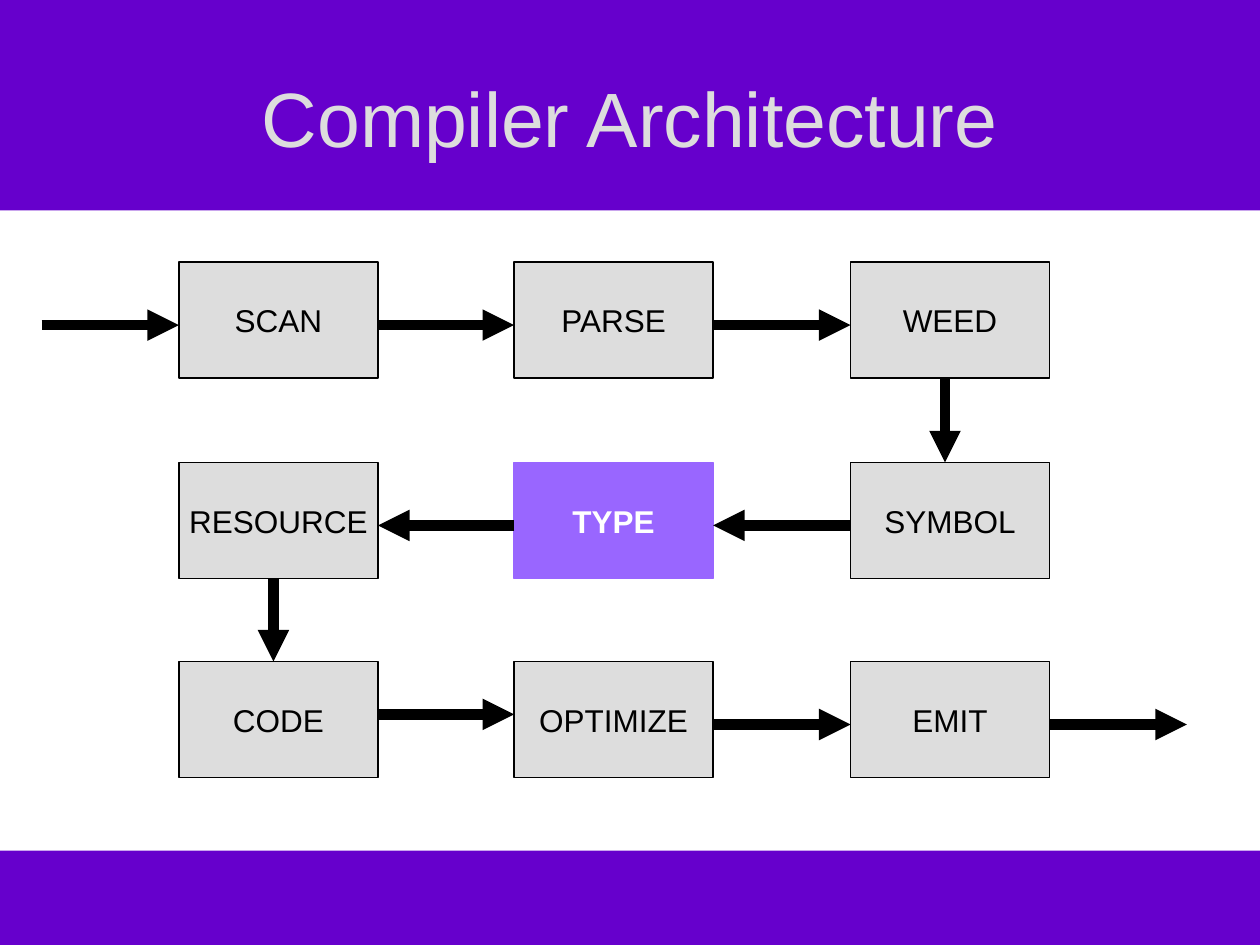
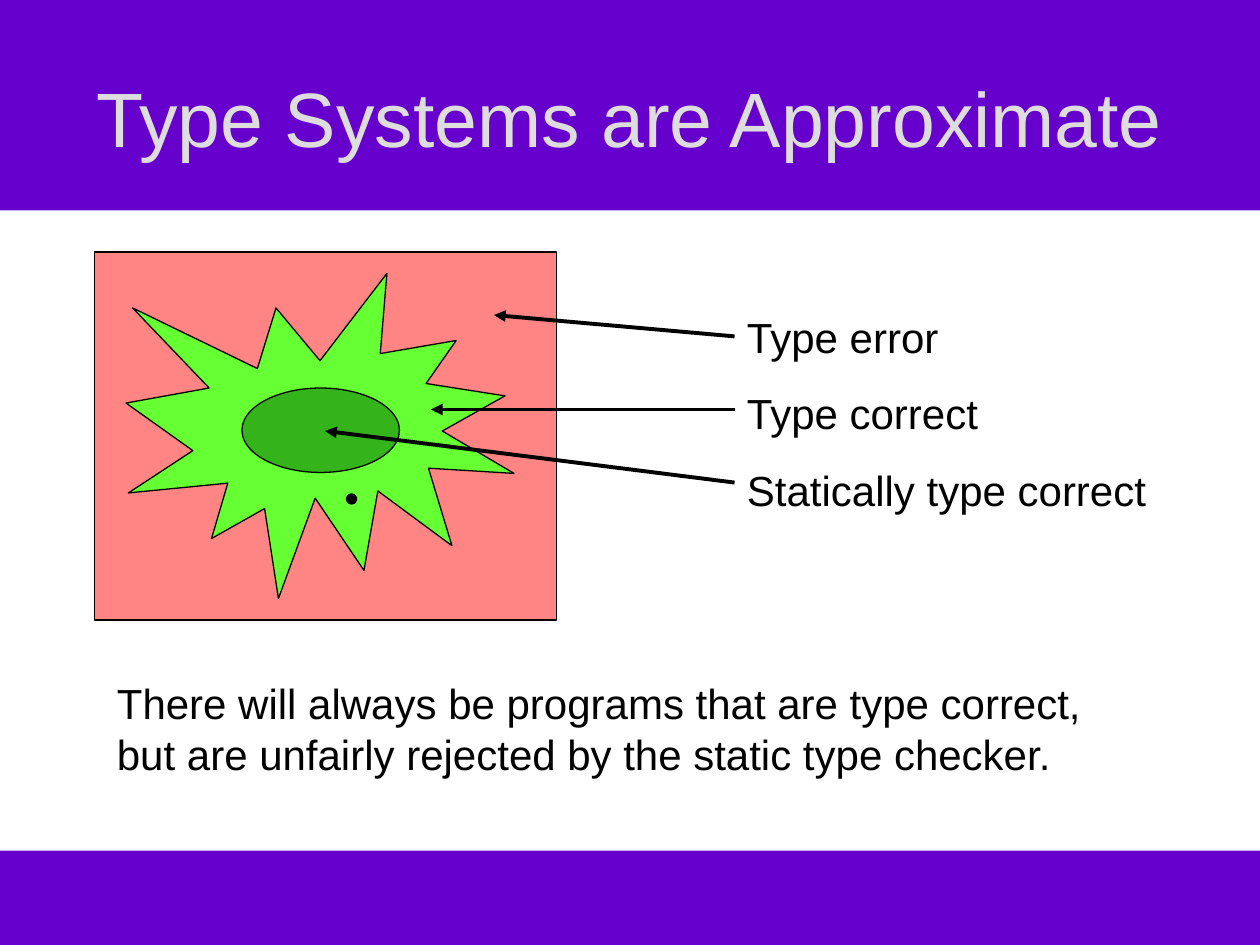
from pptx import Presentation
from pptx.dml.color import RGBColor
from pptx.enum.shapes import MSO_CONNECTOR, MSO_SHAPE
from pptx.enum.text import MSO_ANCHOR, PP_ALIGN
from pptx.oxml.ns import qn
from pptx.util import Inches, Pt
from lxml.etree import SubElement

COLORS = {
    "band": "6600CC",
    "title": "DDDDDD",
    "box": "DDDDDD",
    "highlight": "9966FF",
    "white": "FFFFFF",
    "black": "000000",
    "error": "FF0000",
    "correct": "66FF33",
    "static": "006600",
}
FONT = "Arial"


def rgb(name):
    return RGBColor.from_string(COLORS[name])


class Deck:
    def __init__(self):
        self.presentation = Presentation()
        self.presentation.slide_width = Inches(10)
        self.presentation.slide_height = Inches(7.5)
        self.slide = None

    def add_slide(self, title):
        self.slide = self.presentation.slides.add_slide(self.presentation.slide_layouts[6])
        self.shape(MSO_SHAPE.RECTANGLE, 0, 6.75, 10, 0.75, "band")
        self.shape(MSO_SHAPE.RECTANGLE, 0, 0, 10, 1.67, "band")
        title_box = self.text(0.5, 0.3, 9, 1.25, [title], 44, "title", align=PP_ALIGN.CENTER)
        title_box.text_frame.vertical_anchor = MSO_ANCHOR.MIDDLE

    def shape(self, kind, left, top, width, height, fill, line=None, opacity=None):
        shape = self.slide.shapes.add_shape(
            kind, Inches(left), Inches(top), Inches(width), Inches(height))
        shape.shadow.inherit = False
        shape.fill.solid()
        shape.fill.fore_color.rgb = rgb(fill)
        if opacity is not None:
            color = shape.fill._xPr.find(".//" + qn("a:srgbClr"))
            SubElement(color, qn("a:alpha"), val=str(opacity * 1000))
        if line:
            shape.line.color.rgb = rgb(line)
            shape.line.width = Pt(0.75)
        else:
            shape.line.fill.background()
        return shape

    def format_text(self, text_frame, size, color, align, bold=False, space_before=0):
        for paragraph in text_frame.paragraphs:
            paragraph.alignment = align
            paragraph.space_before = Pt(space_before)
            for run in paragraph.runs:
                run.font.name = FONT
                run.font.size = Pt(size)
                run.font.bold = bold
                run.font.color.rgb = rgb(color)

    def text(self, left, top, width, height, lines, size, color,
             align=PP_ALIGN.LEFT, space_before=0):
        text_box = self.slide.shapes.add_textbox(
            Inches(left), Inches(top), Inches(width), Inches(height))
        text_box.text_frame.word_wrap = True
        text_box.text_frame.text = "\n".join(lines)
        self.format_text(text_box.text_frame, size, color, align, space_before=space_before)
        return text_box

    def phase(self, left, top, width, height, name, active=False):
        fill, line, color = (
            ("highlight", "highlight", "white") if active else ("box", "black", "black"))
        shape = self.shape(MSO_SHAPE.RECTANGLE, left, top, width, height, fill, line)
        shape.text_frame.text = name
        shape.text_frame.word_wrap = False
        shape.text_frame.vertical_anchor = MSO_ANCHOR.MIDDLE
        self.format_text(shape.text_frame, 18, color, PP_ALIGN.CENTER, bold=active)

    def arrow(self, start, end, width):
        connector = self.slide.shapes.add_connector(
            MSO_CONNECTOR.STRAIGHT, *(Inches(value) for value in (*start, *end)))
        connector.line.color.rgb = rgb("black")
        connector.line.width = Pt(width)
        SubElement(connector.line._get_or_add_ln(), qn("a:tailEnd"), type="triangle")
        SubElement(connector._element.spPr, qn("a:effectLst"))


def build_architecture(deck):
    deck.add_slide("Compiler Architecture")
    columns = [1.42, 4.08, 6.75]
    rows = [2.08, 3.67, 5.25]
    width, height = 1.58, 0.92
    phases = [
        ["SCAN", "PARSE", "WEED"],
        ["RESOURCE", "TYPE", "SYMBOL"],
        ["CODE", "OPTIMIZE", "EMIT"],
    ]
    for top, names in zip(rows, phases):
        for left, name in zip(columns, names):
            deck.phase(left, top, width, height, name, active=name == "TYPE")

    rights = [left + width for left in columns]
    gaps = list(zip(rights, columns[1:]))
    scan_y, type_y, code_y, emit_y = 2.58, 4.17, 5.67, 5.75
    steps = [(start, end, scan_y) for start, end in [(0.33, columns[0]), *gaps]]
    steps += [(end, start, type_y) for start, end in gaps]
    steps += [(*gaps[0], code_y), (*gaps[1], emit_y), (rights[2], 9.42, emit_y)]
    for start, end, y in steps:
        deck.arrow((start, y), (end, y), 6)
    for x, row in [(7.5, 0), (2.17, 1)]:
        deck.arrow((x, rows[row] + height), (x, rows[row + 1]), 6)


def build_approximation(deck):
    deck.add_slide("Type Systems are Approximate")
    deck.shape(MSO_SHAPE.RECTANGLE, 0.75, 2, 3.67, 2.92, "error", "black", opacity=48)
    deck.shape(MSO_SHAPE.EXPLOSION1, 1, 2.17, 3.08, 2.58, "correct", "black")
    deck.shape(MSO_SHAPE.OVAL, 1.92, 3.08, 1.25, 0.67, "static", "black", opacity=49)
    label_x = 5.83
    for label_y, target in [(3.83, (2.58, 3.42)), (2.67, (3.92, 2.5)), (3.25, (3.42, 3.25))]:
        deck.arrow((label_x, label_y), target, 2.25)
    deck.text(label_x, 2.42, 3.92, 1.72,
              ["Type error", "Type correct", "Statically type correct"],
              24, "black", space_before=15)
    deck.shape(MSO_SHAPE.OVAL, 2.75, 3.92, 0.08, 0.08, "black", "black")
    deck.text(0.83, 5.33, 8.33, 0.9,
              ["There will always be programs that are type correct, "
               "but are unfairly rejected by the static type checker."],
              24, "black", space_before=15)


def main():
    deck = Deck()
    build_architecture(deck)
    build_approximation(deck)
    deck.presentation.save("out.pptx")


if __name__ == "__main__":
    main()
